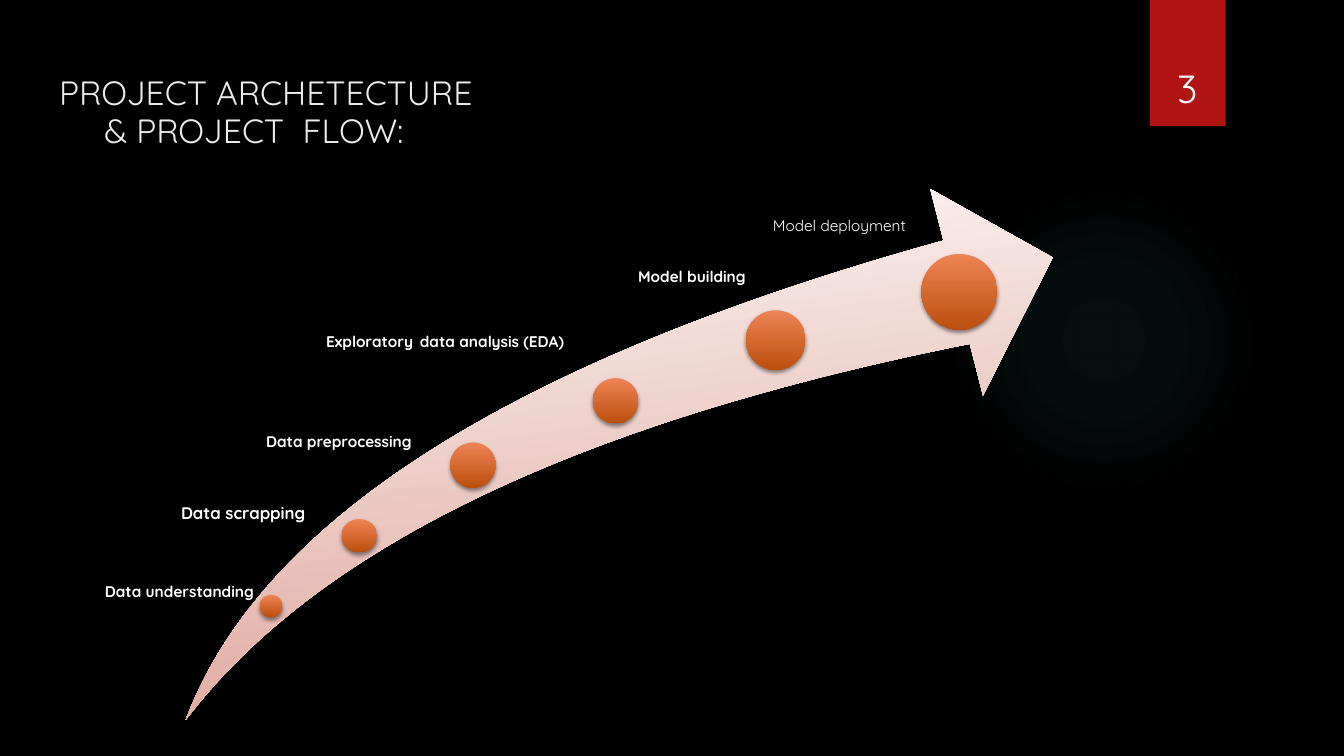
import dataclasses

import lxml.etree
import pptx
import pptx.dml.color
import pptx.enum.shapes
import pptx.enum.text
import pptx.oxml
import pptx.oxml.ns
import pptx.util

SHAPE = pptx.enum.shapes.MSO_SHAPE
ALIGN = pptx.enum.text.PP_ALIGN
ANCHOR = pptx.enum.text.MSO_ANCHOR


@dataclasses.dataclass(frozen=True)
class Theme:
    """Colours, font and type sizes of the slide."""
    font: str = "Quicksand"
    backdrop: str = "000000"
    glow: str = "50B9C1"
    ribbon: str = "B01513"
    heading: str = "EBEBEB"
    text: str = "FFFFFF"
    arrow: tuple = ("FFFFFF", "DB9B8F")
    milestone: tuple = ("EE8455", "BC4F0E")
    heading_size: int = 24
    number_size: int = 28
    label_size: int = 11
    large_label_size: int = 12
    gap_size: int = 17


class FlowSlide:
    """Draws the elements of the project flow in one style."""

    def __init__(self, deck, theme):
        self.theme = theme
        self.slide = deck.slides.add_slide(deck.slide_layouts[6])
        backdrop = self.slide.background.fill
        backdrop.solid()
        backdrop.fore_color.rgb = self.colour(theme.backdrop)

    @staticmethod
    def colour(code):
        return pptx.dml.color.RGBColor.from_string(code)

    def figure(self, kind, place, colours, shadow=False):
        figure = self.slide.shapes.add_shape(kind, *map(pptx.util.Cm, place))
        figure.line.fill.background()
        figure.shadow.inherit = False
        if len(colours) == 1:
            figure.fill.solid()
            figure.fill.fore_color.rgb = self.colour(colours[0])
        else:
            figure.fill.gradient()
            figure.fill.gradient_angle = 270
            for stop, code in zip(figure.fill.gradient_stops, colours):
                stop.color.rgb = self.colour(code)
        if shadow:
            effects = figure._element.spPr.find(pptx.oxml.ns.qn("a:effectLst"))
            effects.append(pptx.oxml.parse_xml(
                f'<a:outerShdw {pptx.oxml.ns.nsdecls("a")} blurRad="38100" dist="25400" '
                'dir="5400000" rotWithShape="0"><a:srgbClr val="000000">'
                '<a:alpha val="45000"/></a:srgbClr></a:outerShdw>'))
        return figure

    def glow(self, place):
        halo = self.figure(SHAPE.OVAL, place, (self.theme.glow,))
        stops = "".join(
            f'<a:gs pos="{position * 1000}"><a:srgbClr val="{self.theme.glow}">'
            f'<a:alpha val="{opacity * 1000}"/></a:srgbClr></a:gs>'
            for position, opacity in ((0, 7), (36, 6), (69, 0)))
        properties = halo._element.spPr
        properties.replace(
            properties.find(pptx.oxml.ns.qn("a:solidFill")),
            pptx.oxml.parse_xml(
                f'<a:gradFill {pptx.oxml.ns.nsdecls("a")}><a:gsLst>{stops}</a:gsLst>'
                '<a:path path="circle"><a:fillToRect l="50000" t="50000" r="50000" '
                'b="50000"/></a:path></a:gradFill>'))

    def arrow(self, place, rotation):
        swoosh = self.figure(SHAPE.SWOOSH_ARROW, place, self.theme.arrow)
        swoosh.rotation = rotation
        for index in range(2):
            swoosh.adjustments[index] = 0.25

    def text(self, place, lines, colour, frame_format=None, line_format=None, bold=False):
        """Place paragraphs, each a list of (wording, size) runs."""
        box = self.slide.shapes.add_textbox(*map(pptx.util.Cm, place))
        frame = box.text_frame
        for name, value in {"word_wrap": True, **(frame_format or {})}.items():
            setattr(frame, name, value)
        for index, line in enumerate(lines):
            paragraph = frame.add_paragraph() if index else frame.paragraphs[0]
            for name, value in (line_format or {}).items():
                setattr(paragraph, name, value)
            for wording, size in line:
                run = paragraph.add_run()
                run.text = wording
                run.font.color.rgb = self.colour(colour)
                font_format = {"name": self.theme.font, "size": pptx.util.Pt(size), "bold": bold}
                for name, value in font_format.items():
                    setattr(run.font, name, value)
        return frame

    def label(self, place, inset, runs):
        margins = {"margin_left": pptx.util.Cm(inset), "margin_top": 0,
                   "margin_right": 0, "margin_bottom": 0}
        self.text(place, [runs], self.theme.text, margins,
                  {"alignment": ALIGN.CENTER, "line_spacing": 0.9}, bold=True)


def main():
    theme = Theme()
    deck = pptx.Presentation()
    deck.slide_width, deck.slide_height = pptx.util.Cm(33.87), pptx.util.Cm(19.05)
    flow = FlowSlide(deck, theme)

    flow.glow((23.9, 4.65, 7.82, 7.82))
    flow.figure(SHAPE.RECTANGLE, (28.98, 0, 1.91, 3.18), (theme.ribbon,), shadow=True)
    heading = flow.text(
        (1.24, 1.75, 24.46, 2.13),
        [[("PROJECT ARCHETECTURE", theme.heading_size)],
         [("& PROJECT  FLOW:", theme.heading_size)]],
        theme.heading, line_format={"line_spacing": 0.95})
    heading.paragraphs[1]._p.get_or_add_pPr().set("marL", str(pptx.util.Cm(1.14)))
    flow.text((28.75, 0.81, 2.34, 2.13), [[("3", theme.number_size)]], theme.text,
              {"vertical_anchor": ANCHOR.BOTTOM}, {"alignment": ALIGN.CENTER})
    flow.arrow((3.84, 5.92, 23.24, 10.67), 352.1)

    milestones = (
        (6.55, 14.99, 0.56, 0.56),
        (8.61, 13.08, 0.89, 0.84),
        (11.35, 11.15, 1.14, 1.14),
        (14.94, 9.53, 1.14, 1.14),
        (18.8, 7.82, 1.5, 1.5),
        (23.22, 6.4, 1.91, 1.91),
    )
    for place in milestones:
        flow.figure(SHAPE.OVAL, place, theme.milestone, shadow=True)

    small = theme.label_size
    stages = (
        ((2.24, 14.73, 4.27, 3.25), 0.3, [("Data understanding", small)]),
        ((2.51, 12.73, 6.78, 0.99), 0.46, [("Data scrapping", theme.large_label_size)]),
        ((4.11, 10.95, 8.26, 1.57), 0.61, [("Data preprocessing", small)]),
        ((6.71, 8.23, 8.23, 1.3), 0.79,
         [("Exploratory", small), (" ", theme.gap_size), ("data analysis (EDA)", small)]),
        ((11.61, 6.78, 10.64, 1.42), 1.02, [("Model building", small)]),
    )
    for place, inset, runs in stages:
        flow.label(place, inset, runs)
    flow.text((19.23, 5.33, 5.36, 0.74), [[("Model deployment", small)]], theme.text)

    deck.save("out.pptx")


if __name__ == "__main__":
    main()
